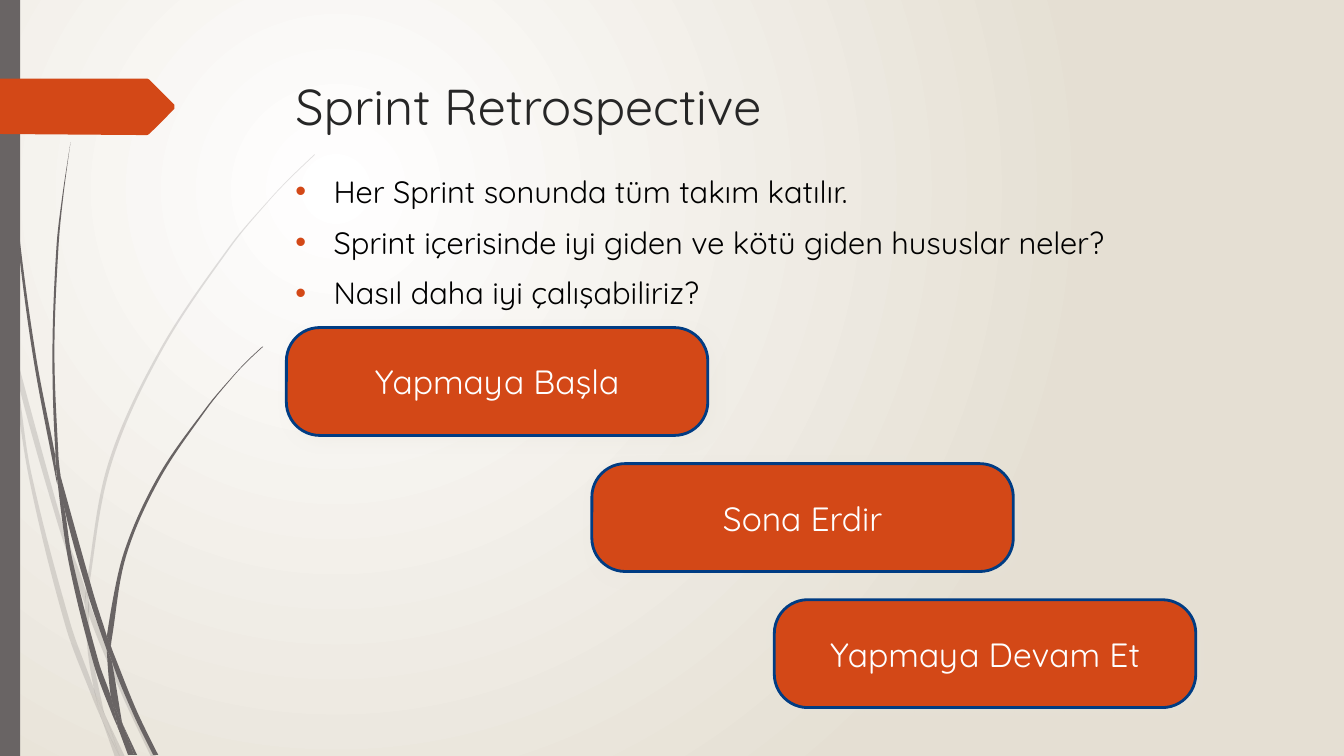
from math import hypot

from lxml.etree import SubElement
from pptx import Presentation
from pptx.dml.color import RGBColor
from pptx.enum.shapes import MSO_SHAPE as Shape
from pptx.enum.text import MSO_ANCHOR as Anchor, PP_ALIGN as Align
from pptx.oxml.ns import qn
from pptx.util import Inches, Pt

COLORS = {
    "white": "FFFFFF", "sand": "E5DFD3", "gray": "696464", "orange": "D34817",
    "navy": "003C83", "title": "262626", "black": "000000", "shadow": "E9E5DC",
}
FONT = "Quicksand"

LIGHT_GRASS = [
    [(0.11, 3.5), (0.09, 3.22), (0, 2.82), (0, 2.99), (0.1, 3.44)],
    [(0.58, 5.22), (0.84, 5.99), (0.85, 5.86), (0.62, 5.2), (0.14, 3.45), (0.17, 3.76)],
    [(0.92, 6.07), (0.88, 5.96), (0.88, 6.1), (1.23, 6.94), (1.5, 7.51), (1.55, 7.51),
     (1.27, 6.92)],
    [(1.19, 7.51), (1.24, 7.51), (1.05, 7.11)],
    [(0.93, 6.83), (0.7, 6.19), (0.31, 4.69), (0.17, 3.76), (0.11, 3.5), (0.28, 4.7),
     (0.65, 6.21), (0.92, 6.93), (1.01, 7.14), (0.99, 7.07)],
    [(0.84, 5.99), (0.87, 6.46), (0.93, 6.83), (0.96, 6.92), (1.05, 7.11), (1.03, 7.06),
     (0.91, 6.46), (0.88, 6.1), (0.88, 6.08)],
    [(0.88, 5.84), (1.1, 4.62), (1.6, 3.49), (2.29, 2.45), (2.68, 1.98), (2.9, 1.75),
     (3.12, 1.54), (3.12, 1.53), (2.89, 1.75), (2.68, 1.97), (2.28, 2.44), (1.58, 3.48),
     (1.07, 4.61), (0.85, 5.84), (0.85, 5.86), (0.88, 5.96)],
    [(1.01, 7.14), (1.14, 7.51), (1.19, 7.51)],
    [(0.88, 6.08), (0.88, 6.1), (0.88, 5.96), (0.85, 5.86), (0.84, 5.99)],
    [(0.96, 6.92), (0.93, 6.83), (0.99, 7.07), (1.01, 7.14), (1.19, 7.51), (1.05, 7.11)],
]
DARK_GRASS = [
    [(0.07, 1.1), (0.17, 2.33), (0.33, 3.55), (0.56, 4.77), (0.57, 4.81), (0.55, 4.57),
     (0.55, 4.53), (0.36, 3.55), (0.19, 2.32), (0.08, 1.09), (0.05, 0.48), (0.04, 0),
     (0.03, 0), (0.04, 0.48)],
    [(0.88, 5.92), (1.06, 6.45), (1.06, 6.33), (1.06, 6.31), (0.93, 5.9), (0.6, 4.72),
     (0.64, 5.05)],
    [(1.13, 6.49), (1.1, 6.41), (1.11, 6.56), (1.32, 7.08), (1.52, 7.49), (1.57, 7.49),
     (1.36, 7.06)],
    [(1.1, 6.91), (0.98, 6.57), (0.72, 5.56), (0.64, 5.05), (0.57, 4.77), (0.68, 5.57),
     (0.93, 6.59), (1.11, 7.08), (1.17, 7.22), (1.16, 7.17)],
    [(0.6, 4.72), (0.58, 4.53), (0.54, 3.49), (0.58, 2.45), (0.63, 1.93), (0.7, 1.41),
     (0.62, 1.93), (0.56, 2.45), (0.52, 3.49), (0.55, 4.49)],
    [(1.33, 7.49), (1.36, 7.49), (1.22, 7.19)],
    [(0.57, 4.77), (0.64, 5.05), (0.6, 4.72), (0.55, 4.49), (0.55, 4.53)],
    [(1.11, 6.33), (1.25, 5.52), (1.58, 4.76), (2.05, 4.06), (2.31, 3.74), (2.45, 3.59),
     (2.61, 3.44), (2.6, 3.44), (2.45, 3.58), (2.31, 3.73), (2.04, 4.05), (1.56, 4.74),
     (1.22, 5.51), (1.06, 6.31), (1.1, 6.41)],
    [(1.17, 7.22), (1.27, 7.49), (1.31, 7.49)],
    [(1.06, 6.45), (1.1, 6.91), (1.16, 7.06), (1.22, 7.19), (1.21, 7.16), (1.11, 6.56),
     (1.09, 6.51)],
    [(1.06, 6.45), (1.09, 6.51), (1.11, 6.56), (1.1, 6.41), (1.06, 6.31), (1.06, 6.33)],
    [(1.16, 7.06), (1.1, 6.91), (1.16, 7.17), (1.17, 7.22), (1.3, 7.49), (1.33, 7.49),
     (1.22, 7.19)],
]
ARROW = [(1.73, 1.08), (1.48, 1.33), (1.46, 1.34), (1.36, 1.34), (0, 1.33), (0, 0.78),
         (1.36, 0.78), (1.46, 0.78), (1.48, 0.79), (1.73, 1.04)]
BULLETS = [
    "Her Sprint sonunda tüm takım katılır.",
    "Sprint içerisinde iyi giden ve kötü giden hususlar neler?",
    "Nasıl daha iyi çalışabiliriz?",
]
ACTIONS = [(2.84, "Yapmaya Başla"), (5.87, "Sona Erdir"), (7.68, "Yapmaya Devam Et")]


def tangent(before, point, after):
    """Return the unit tangent at a point, or zero at a corner."""
    ax, ay = point[0] - before[0], point[1] - before[1]
    bx, by = after[0] - point[0], after[1] - point[1]
    if ax * bx + ay * by < 0.9 * hypot(ax, ay) * hypot(bx, by):
        return 0, 0
    length = hypot(ax + bx, ay + by)
    return (ax + bx) / length, (ay + by) / length


class RetrospectiveSlide:
    """Draws the elements of one slide in a shared style."""

    def __init__(self, presentation):
        self.slide = presentation.slides.add_slide(presentation.slide_layouts[5])
        self.shapes = self.slide.shapes

    def color(self, name):
        """Return the named colour."""
        return RGBColor.from_string(COLORS[name])

    def format_text(self, paragraph, size, color, align=Align.LEFT):
        """Set alignment and font of a paragraph."""
        paragraph.alignment = align
        for run in paragraph.runs:
            run.font.name = FONT
            run.font.size = Pt(size)
            run.font.color.rgb = self.color(color)

    def paint(self, shape, color):
        """Give a shape a flat fill without line or shadow."""
        shape.shadow.inherit = False
        shape.fill.solid()
        shape.fill.fore_color.rgb = self.color(color)
        shape.line.fill.background()

    def background(self, inner, outer):
        """Fill the background with a radial gradient."""
        fill = self.slide.background.fill
        fill.gradient()
        for stop, color in zip(fill.gradient_stops, (inner, outer)):
            stop.color.rgb = self.color(color)
        gradient = self.slide.element.find(".//" + qn("a:gradFill"))
        gradient.remove(gradient.find(qn("a:lin")))
        circle = SubElement(gradient, qn("a:path"), path="circle")
        SubElement(circle, qn("a:fillToRect"), l="50000", t="50000", r="100000", b="100000")

    def block(self, kind, left, top, width, height, color):
        """Add a flat preset shape."""
        shape = self.shapes.add_shape(
            kind, Inches(left), Inches(top), Inches(width), Inches(height))
        self.paint(shape, color)
        return shape

    def outline(self, shapes, points, color):
        """Add a closed outline, curved except at its corners."""
        corners = [(Inches(x), Inches(y)) for x, y in points]
        builder = shapes.build_freeform(*corners[0])
        builder.add_line_segments(corners[1:])
        shape = builder.convert_to_shape()
        self.paint(shape, color)
        track = shape.element.find(".//" + qn("a:path"))
        for line in track.findall(qn("a:lnTo")) + track.findall(qn("a:close")):
            track.remove(line)
        nodes = [(x - shape.left, y - shape.top) for x, y in corners]
        after = nodes[1:] + nodes[:1]
        tangents = [tangent(*trio) for trio in zip(nodes[-1:] + nodes, nodes, after)]
        for (x, y), (end_x, end_y), (u, v), (end_u, end_v) in zip(
                nodes, after, tangents, tangents[1:] + tangents[:1]):
            reach = hypot(end_x - x, end_y - y) / 3
            curve = SubElement(track, qn("a:cubicBezTo"))
            for px, py in ((x + u * reach, y + v * reach),
                           (end_x - end_u * reach, end_y - end_v * reach), (end_x, end_y)):
                SubElement(curve, qn("a:pt"), x=str(round(px)), y=str(round(py)))
        SubElement(track, qn("a:close"))
        return shape

    def grass(self, pieces, opacity=100):
        """Add a group of grass pieces."""
        group = self.shapes.add_group_shape()
        for points in pieces:
            shape = self.outline(group.shapes, points, "gray")
            if opacity < 100:
                tint = shape.element.spPr.find(qn("a:solidFill"))[0]
                SubElement(tint, qn("a:alpha"), val=str(opacity * 1000))

    def title(self, text):
        """Place and format the title."""
        title = self.shapes.title
        title.left, title.top = Inches(2.83), Inches(0.69)
        title.width, title.height = Inches(9.75), Inches(1.08)
        title.text_frame.text = text
        title.text_frame.vertical_anchor = Anchor.TOP
        self.format_text(title.text_frame.paragraphs[0], 36, "title")

    def bullets(self, lines):
        """Add the bulleted list."""
        frame = self.shapes.add_textbox(
            Inches(2.83), Inches(1.66), Inches(9.75), Inches(5.49)).text_frame
        frame.word_wrap = True
        frame.text = "\n".join(lines)
        for paragraph in frame.paragraphs:
            self.format_text(paragraph, 22, "black")
            paragraph.space_before = Pt(10)
            properties = paragraph._p.get_or_add_pPr()
            properties.set("marL", str(Inches(0.38)))
            properties.set("indent", str(-Inches(0.38)))
            tint = SubElement(properties, qn("a:buClr"))
            SubElement(tint, qn("a:srgbClr"), val=COLORS["orange"])
            SubElement(properties, qn("a:buFont"), typeface="Arial")
            SubElement(properties, qn("a:buChar"), char="•")

    def action(self, left, top, text):
        """Add a rounded action box with a soft shadow."""
        shape = self.block(Shape.ROUNDED_RECTANGLE, left, top, 4.18, 1.07, "orange")
        shape.adjustments[0] = 0.31
        shape.line.color.rgb = self.color("navy")
        shape.line.width = Pt(2)
        shadow = SubElement(shape.element.spPr.find(qn("a:effectLst")), qn("a:outerShdw"),
                            blurRad=str(Pt(9)), dist=str(Pt(5)), dir="2700000")
        tint = SubElement(shadow, qn("a:srgbClr"), val=COLORS["shadow"])
        SubElement(tint, qn("a:alpha"), val="30000")
        frame = shape.text_frame
        frame.margin_left = frame.margin_right = frame.margin_top = frame.margin_bottom = 0
        frame.vertical_anchor = Anchor.MIDDLE
        frame.text = text
        self.format_text(frame.paragraphs[0], 24, "white", Align.CENTER)


def main():
    """Build and save the slide."""
    presentation = Presentation()
    presentation.slide_width, presentation.slide_height = Inches(13.33), Inches(7.5)
    page = RetrospectiveSlide(presentation)
    page.background("white", "sand")
    page.grass(LIGHT_GRASS, opacity=20)
    page.grass(DARK_GRASS)
    page.block(Shape.RECTANGLE, 0, 0, 0.2, 7.5, "gray")
    page.outline(page.shapes, ARROW, "orange")
    page.title("Sprint Retrospective")
    page.bullets(BULLETS)
    for row, (left, text) in enumerate(ACTIONS):
        page.action(left, 3.25 + 1.35 * row, text)
    presentation.save("out.pptx")


if __name__ == "__main__":
    main()
